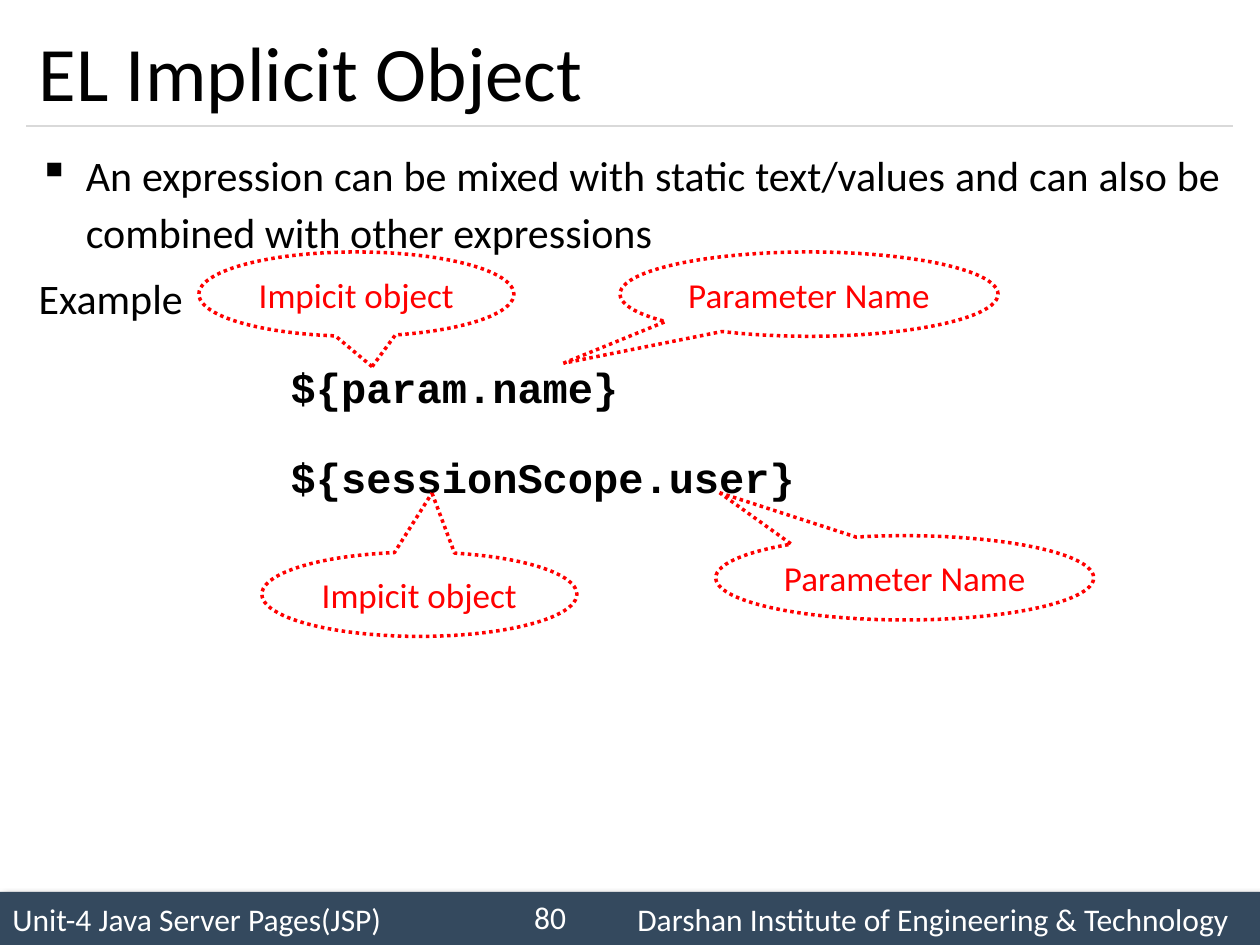
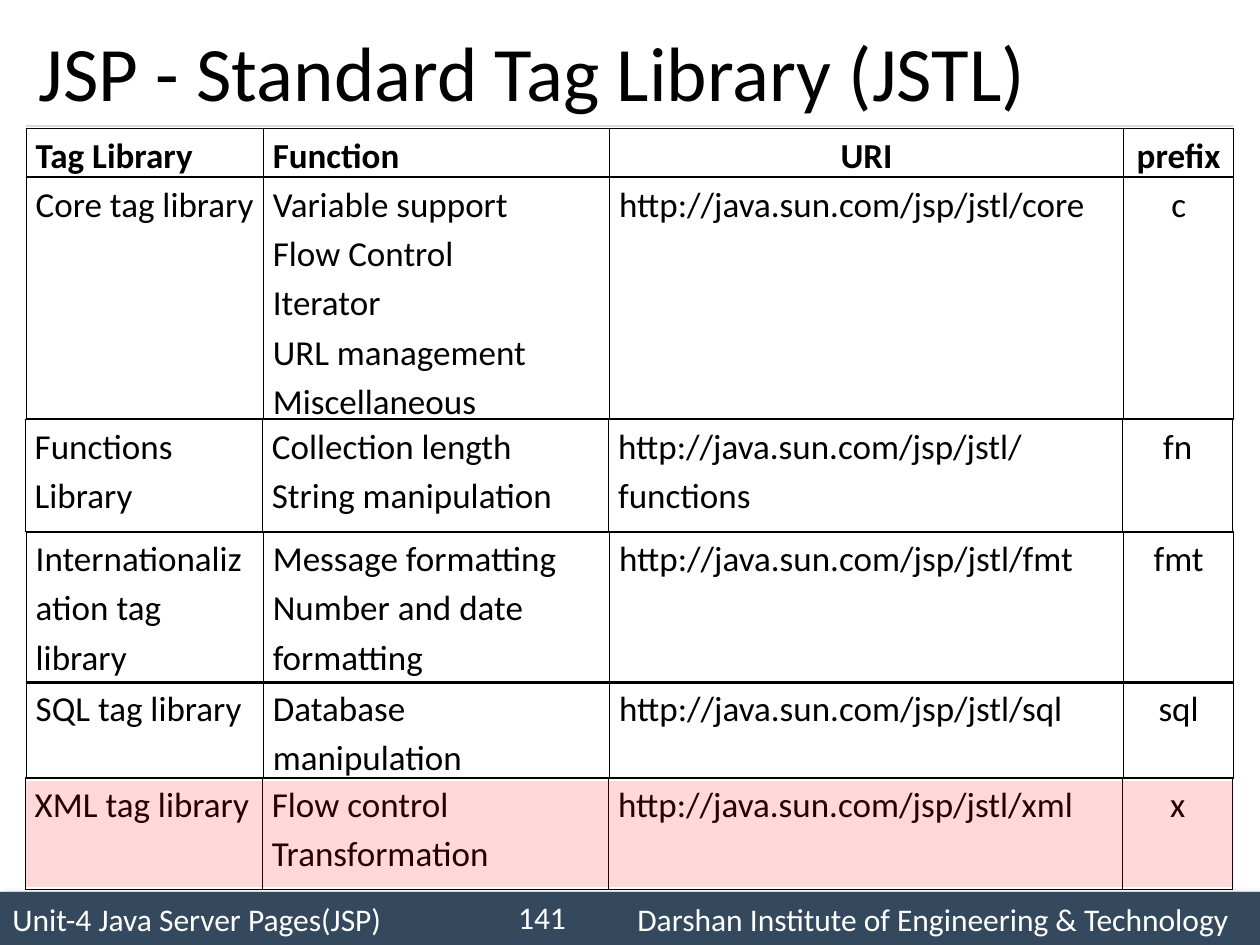
from lxml import etree
from pptx import Presentation
from pptx.dml.color import RGBColor
from pptx.enum.dml import MSO_LINE
from pptx.enum.shapes import MSO_CONNECTOR, MSO_SHAPE
from pptx.enum.text import MSO_ANCHOR, PP_ALIGN
from pptx.oxml import parse_xml
from pptx.oxml.ns import nsdecls, qn
from pptx.util import Cm, Pt

LEFT, MID, RIGHT, FULL = PP_ALIGN.LEFT, PP_ALIGN.CENTER, PP_ALIGN.RIGHT, PP_ALIGN.JUSTIFY
CENTER = MSO_ANCHOR.MIDDLE
RECT, BUBBLE = MSO_SHAPE.RECTANGLE, MSO_SHAPE.OVAL_CALLOUT
STRAIGHT, DOTS = MSO_CONNECTOR.STRAIGHT, MSO_LINE.ROUND_DOT

HUES = {"ink": "000000", "paper": "FFFFFF", "band": "34495E",
        "rule": "D9D9D9", "mark": "FF0000"}
RGB = {name: RGBColor.from_string(code) for name, code in HUES.items()}
FONT, CODE = "Calibri", "Courier New"
EDGE, WIDE = 0.53, 24.33


def write(frame, text, size, hue="ink", align=LEFT, bold=False, space=None):
    frame.word_wrap = True
    frame.text = text
    for par in frame.paragraphs:
        par.alignment = align
        par.line_spacing = space
        for run in par.runs:
            run.font.size = Pt(size)
            run.font.name = FONT
            run.font.bold = bold
            run.font.color.rgb = RGB[hue]


def start(title, page):
    """Add a slide with its footer band, rule, title and page number."""
    slide = deck.slides.add_slide(deck.slide_layouts[6])
    shapes = slide.shapes
    band = shapes.add_shape(RECT, 0, Cm(17.98), deck.slide_width, Cm(1.07))
    band.shadow.inherit = False
    band.fill.solid()
    band.fill.fore_color.rgb = RGB["band"]
    band.line.fill.background()
    band._element.spPr.find(qn("a:effectLst")).append(parse_xml(
        f'<a:outerShdw {nsdecls("a")} blurRad="50800" dist="38100" dir="2700000">'
        f'<a:srgbClr val="{HUES["ink"]}"><a:alpha val="40000"/></a:srgbClr>'
        '</a:outerShdw>'))
    foot = band.text_frame
    foot.vertical_anchor = CENTER
    write(foot, "Unit-4 Java Server Pages(JSP)\t"
          "Darshan Institute of Engineering & Technology", 18, "paper")
    tabs = etree.SubElement(foot.paragraphs[0]._p.get_or_add_pPr(), qn("a:tabLst"))
    etree.SubElement(tabs, qn("a:tab"), pos=str(Cm(12.6)), algn="l")

    rule = shapes.add_connector(STRAIGHT, Cm(EDGE), Cm(2.54), Cm(EDGE + WIDE), Cm(2.54))
    rule.line.color.rgb = RGB["rule"]
    rule.line.width = Pt(0.75)
    etree.SubElement(rule._element.spPr, qn("a:effectLst"))

    head = shapes.add_textbox(Cm(EDGE), Cm(0.3), Cm(WIDE), Cm(2.24)).text_frame
    head.vertical_anchor = CENTER
    write(head, title, 44)
    num = shapes.add_textbox(Cm(9.96), Cm(17.98), Cm(1.7), Cm(1.02)).text_frame
    num.vertical_anchor = CENTER
    write(num, page, 18, "paper", RIGHT)
    return shapes


deck = Presentation()
deck.slide_width, deck.slide_height = Cm(25.4), Cm(19.05)

# Slide 1: expressions with callouts
shapes = start("EL Implicit Object", "80")
body = shapes.add_textbox(Cm(EDGE), Cm(2.74), Cm(WIDE), Cm(14.81)).text_frame
write(body, "An expression can be mixed with static text/values and can also be "
      "combined with other expressions\nExample\n${param.name}\n${sessionScope.user}",
      24, align=FULL, space=1.14)
point, label, *codes = body.paragraphs
props = point._p.get_or_add_pPr()
props.set("marL", str(Cm(0.95)))
props.set("indent", str(-Cm(0.95)))
etree.SubElement(props, qn("a:buChar"), char="▪")
label.space_before = Pt(4.8)
for par in codes:
    par._p.get_or_add_pPr().set("marL", str(Cm(5.08)))
    par.line_spacing = 1.5
    par.space_before = Pt(8)
    par.runs[0].font.name = CODE
    par.runs[0].font.bold = True

scope, param = ("Impicit object", 6.35), ("Parameter Name", 7.62)
calls = [(scope, 4.01, 5.08, 0.05, 0.86), (param, 12.5, 5.08, -0.65, 0.82),
         (scope, 5.28, 11.13, 0.04, -1.2), (param, 14.43, 10.8, -0.49, -1.01)]
for (text, width), x, y, tip_x, tip_y in calls:
    call = shapes.add_shape(BUBBLE, Cm(x), Cm(y), Cm(width), Cm(1.7))
    call.shadow.inherit = False
    call.adjustments[0], call.adjustments[1] = tip_x, tip_y
    call.fill.background()
    call.line.color.rgb = RGB["mark"]
    call.line.width = Pt(2)
    call.line.dash_style = DOTS
    frame = call.text_frame
    frame.margin_left = frame.margin_right = 0
    frame.vertical_anchor = CENTER
    write(frame, text, 20, "mark", MID)

# Slide 2: one single-row table for each tag library
shapes = start("JSP - Standard Tag Library (JSTL)", "141")
SITE = "http://java.sun.com/jsp/jstl/"
COLS = [4.78, 6.98, 10.36, 2.22]
rows = [
    (EDGE, 2.59, 0.97, ["Tag Library", "Function", "URI", "prefix"]),
    (EDGE, 3.58, 4.8, ["Core tag library",
                       "Variable support\nFlow Control\nIterator\n"
                       "URL management\nMiscellaneous", SITE + "core", "c"]),
    (0.51, 8.46, 2.26, ["Functions Library", "Collection length\nString manipulation",
                        SITE + "functions", "fn"]),
    (EDGE, 10.72, 3.05, ["Internationalization tag library",
                         "Message formatting\nNumber and date formatting",
                         SITE + "fmt", "fmt"]),
    (EDGE, 13.74, 1.9, ["SQL tag library", "Database manipulation", SITE + "sql", "sql"]),
    (0.51, 15.67, 2.26, ["XML tag library", "Flow control\nTransformation",
                         SITE + "xml", "x"]),
]
for row, (x, y, high, texts) in enumerate(rows):
    table = shapes.add_table(1, len(COLS), Cm(x), Cm(y), Cm(sum(COLS)), Cm(high)).table
    table.first_row = table.horz_banding = False
    for col, text in enumerate(texts):
        table.columns[col].width = Cm(COLS[col])
        cell = table.cell(0, col)
        cell.margin_left = cell.margin_right = Cm(0.19)
        cell.margin_top = cell.margin_bottom = 0
        cell.fill.background()
        mid = col == 3 or (row == 0 and col == 2)
        write(cell.text_frame, text, 20, align=MID if mid else LEFT,
              bold=row == 0, space=1.15)
        props = cell._tc.get_or_add_tcPr()
        for spot, side in enumerate("LRTB"):
            props.insert(spot, parse_xml(
                f'<a:ln{side} {nsdecls("a")} w="12700"><a:solidFill>'
                f'<a:srgbClr val="{HUES["ink"]}"/></a:solidFill></a:ln{side}>'))

tint = shapes.add_shape(RECT, Cm(EDGE), Cm(15.75), Cm(WIDE), Cm(2.13))
tint.shadow.inherit = False
tint.line.fill.background()
tint.fill.solid()
tint.fill.fore_color.rgb = RGB["mark"]
shade = tint._element.spPr.find(qn("a:solidFill"))[0]
etree.SubElement(shade, qn("a:alpha"), val="15000")

deck.save("out.pptx")
